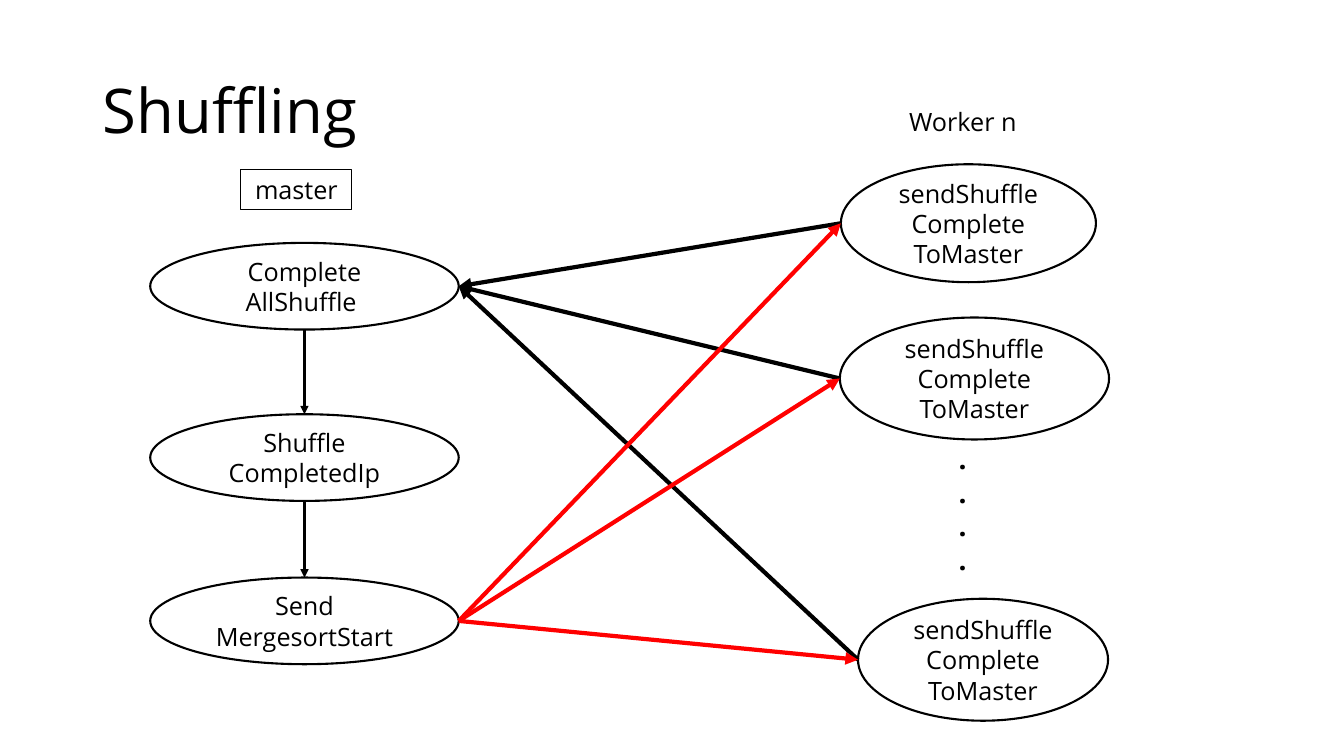
from pptx import Presentation
from pptx import util as u
from pptx.dml.color import RGBColor
from pptx.enum import shapes, text
from pptx.oxml import parse_xml
from pptx.oxml.ns import nsdecls, qn

INK = {"black": "000000", "white": "FFFFFF", "red": "FF0000"}


def tint(name):
    return RGBColor.from_string(INK[name])


class Board:
    font = "Open Sans"

    def __init__(self, slide):
        self.slide = slide

    def fill_text(self, shape, lines, size=18, bold=False, align="CENTER", **form):
        frame = shape.text_frame
        frame.text = "\n".join(lines)
        for key, value in {"word_wrap": True, **form}.items():
            setattr(frame, key, value)
        look = {"name": self.font, "size": u.Pt(size), "bold": bold}
        for para in frame.paragraphs:
            para.alignment = getattr(text.PP_ALIGN, align)
            for run in para.runs:
                for key, value in look.items():
                    setattr(run.font, key, value)
                run.font.color.rgb = tint("black")

    def title(self, words, box):
        shape = self.slide.shapes.title
        sides = ("left", "top", "width", "height")
        for side, size in zip(sides, box):
            setattr(shape, side, u.Inches(size))
        self.fill_text(shape, [words], 44, align="LEFT",
                       vertical_anchor=text.MSO_ANCHOR.MIDDLE)
        shape.text_frame.paragraphs[0].line_spacing = 0.9

    def label(self, lines, box, line=None, **form):
        shape = self.slide.shapes.add_textbox(*map(u.Inches, box))
        self.fill_text(shape, lines, **form)
        if line:
            shape.line.color.rgb = tint("black")
            shape.line.width = u.Pt(line)

    def oval(self, lines, box):
        shape = self.slide.shapes.add_shape(
            shapes.MSO_SHAPE.OVAL, *map(u.Inches, box))
        shape.shadow.inherit = False
        shape.fill.solid()
        shape.fill.fore_color.rgb = tint("white")
        shape.line.color.rgb = tint("black")
        shape.line.width = u.Pt(1.5)
        self.fill_text(shape, lines, vertical_anchor=text.MSO_ANCHOR.MIDDLE)

    def arrow(self, start, end, color="black", width=3):
        link = self.slide.shapes.add_connector(
            shapes.MSO_CONNECTOR.STRAIGHT, *map(u.Inches, start + end))
        link.line.color.rgb = tint(color)
        link.line.width = u.Pt(width)
        props = link._element.spPr
        props.find(qn("a:ln")).append(
            parse_xml(f'<a:tailEnd {nsdecls("a")} type="triangle"/>'))
        props.append(parse_xml(f'<a:effectLst {nsdecls("a")}/>'))


def main():
    deck = Presentation()
    deck.slide_width, deck.slide_height = u.Inches(13.33), u.Inches(7.5)
    board = Board(deck.slides.add_slide(deck.slide_layouts[5]))
    board.title("Shuffling", (0.92, 0.4, 11.5, 1.45))
    board.label(["master"], (2.39, 1.68, 1.1, 0.4), line=0.75)
    board.label(["Worker n"], (8.51, 1.01, 2.08, 0.4))
    board.label(["."] * 4, (9.41, 4.33, 0.53, 1.45),
                size=20, bold=True, align="LEFT")

    left, wide, high = 1.49, 3.06, 0.86
    mid, right = left + wide / 2, left + wide
    steps = [
        (2.41, ["Complete", "AllShuffle "]),
        (4.11, ["Shuffle", "CompletedIp"]),
        (5.73, ["Send", "MergesortStart"]),
    ]
    for top, lines in steps:
        board.oval(lines, (left, top, wide, high))
    tops = [top for top, _ in steps]
    for above, below in zip(tops, tops[1:]):
        board.arrow((mid, above + high), (mid, below), width=1.5)

    workers = [
        (8.34, 1.63, 2.53, 1.17),
        (8.33, 3.15, 2.67, 1.21),
        (8.51, 5.94, 2.48, 1.21),
    ]
    for box in workers:
        board.oval(["sendShuffle", "Complete", "ToMaster"], box)
    ports = [(x, y + h / 2) for x, y, _, h in workers]
    first, last = [(right, top + high / 2) for top in (tops[0], tops[-1])]
    for port in ports:
        board.arrow(port, first)
    for port in ports:
        board.arrow(last, port, "red")

    deck.save("out.pptx")


if __name__ == "__main__":
    main()
